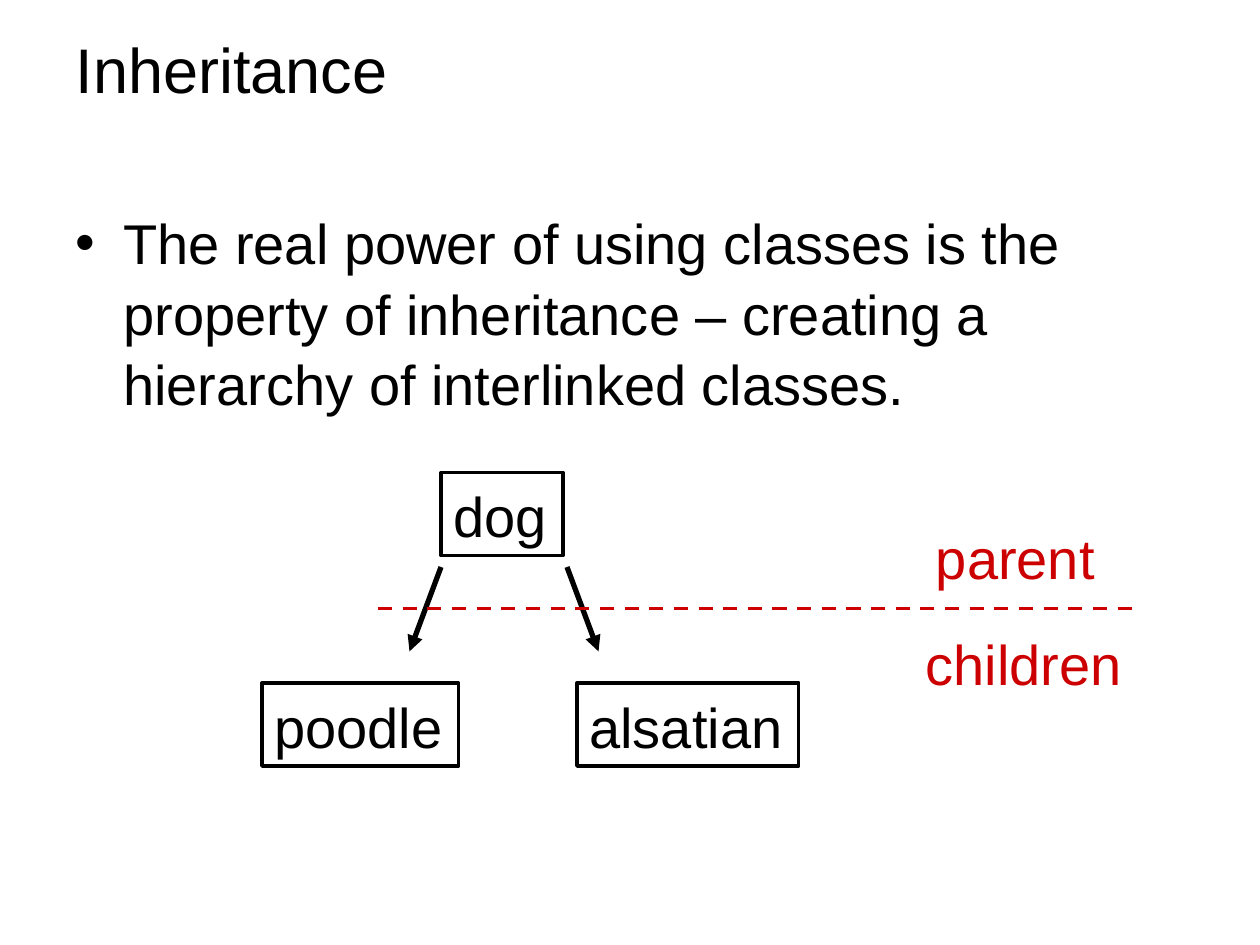
from lxml.etree import SubElement
from pptx import Presentation
from pptx.dml.color import RGBColor
from pptx.enum.dml import MSO_LINE
from pptx.enum.shapes import MSO_CONNECTOR, MSO_SHAPE
from pptx.enum.text import MSO_ANCHOR, PP_ALIGN
from pptx.oxml.ns import qn
from pptx.util import Inches, Pt

FONT = "Arial"
BLACK = "000000"
RED = "CC0000"
LINE_SPACING = 1.05


def color(value):
    return RGBColor.from_string(value)


def place(shape, left, top, width, height):
    shape.left, shape.top = Inches(left), Inches(top)
    shape.width, shape.height = Inches(width), Inches(height)


def write(shape, text, size=32, text_color=BLACK, wrap=False, anchor=MSO_ANCHOR.TOP):
    frame = shape.text_frame
    frame.text = text
    frame.word_wrap = wrap
    frame.vertical_anchor = anchor
    para = frame.paragraphs[0]
    para.alignment = PP_ALIGN.LEFT
    para.line_spacing = LINE_SPACING
    para.font.name = FONT
    para.font.size = Pt(size)
    para.font.color.rgb = color(text_color)
    return para


def add_title(page, text):
    title = page.shapes.title
    place(title, 0.5, 0.21, 9, 0.64)
    write(title, text, size=36, wrap=True, anchor=MSO_ANCHOR.MIDDLE)


def add_label(page, text, left, top, width, height, **style):
    box = page.shapes.add_textbox(
        Inches(left), Inches(top), Inches(width), Inches(height))
    return write(box, text, **style)


def add_bullet(page, text):
    para = add_label(page, text, 0.5, 1.58, 9, 4.95, wrap=True)
    para.space_before = Pt(6)
    properties = para._p.get_or_add_pPr()
    properties.set("marL", str(Inches(0.38)))
    properties.set("indent", str(-Inches(0.38)))
    SubElement(properties, qn("a:buFont"), typeface=FONT)
    SubElement(properties, qn("a:buChar"), char="•")


def add_class_box(page, name, left, top, width):
    box = page.shapes.add_shape(
        MSO_SHAPE.RECTANGLE, Inches(left), Inches(top), Inches(width), Inches(0.66))
    box.shadow.inherit = False
    box.fill.background()
    box.line.color.rgb = color(BLACK)
    box.line.width = Pt(2)
    write(box, name)


def add_line(page, start, end, line_color, width, dash=None, arrow=False):
    line = page.shapes.add_connector(
        MSO_CONNECTOR.STRAIGHT, *(Inches(value) for value in start + end))
    line.line.color.rgb = color(line_color)
    line.line.width = Pt(width)
    if dash is not None:
        line.line.dash_style = dash
    if arrow:
        SubElement(line.line._get_or_add_ln(), qn("a:tailEnd"), type="triangle")
    SubElement(line._element.spPr, qn("a:effectLst"))


def main():
    deck = Presentation()
    deck.slide_width, deck.slide_height = Inches(10), Inches(7.5)
    page = deck.slides.add_slide(deck.slide_layouts[5])

    # Heading and statement
    add_title(page, "Inheritance")
    add_bullet(page, "The real power of using classes is the property of "
                     "inheritance – creating a hierarchy of interlinked classes.")

    # Class hierarchy
    for name, left, top, width in (("dog", 3.5, 3.75, 0.97),
                                   ("poodle", 2.08, 5.42, 1.56),
                                   ("alsatian", 4.58, 5.42, 1.76)):
        add_class_box(page, name, left, top, width)
    for start, end in ((3.5, 3.25), (4.5, 4.75)):
        add_line(page, (start, 4.5), (end, 5.17), BLACK, 3, arrow=True)

    # Levels and the divider between them
    add_label(page, "parent", 7.33, 4.08, 1.46, 0.63, text_color=RED)
    add_label(page, "children", 7.25, 4.92, 1.76, 0.63, text_color=RED)
    add_line(page, (3, 4.83), (9, 4.83), RED, 2, dash=MSO_LINE.DASH)

    deck.save("out.pptx")


if __name__ == "__main__":
    main()
